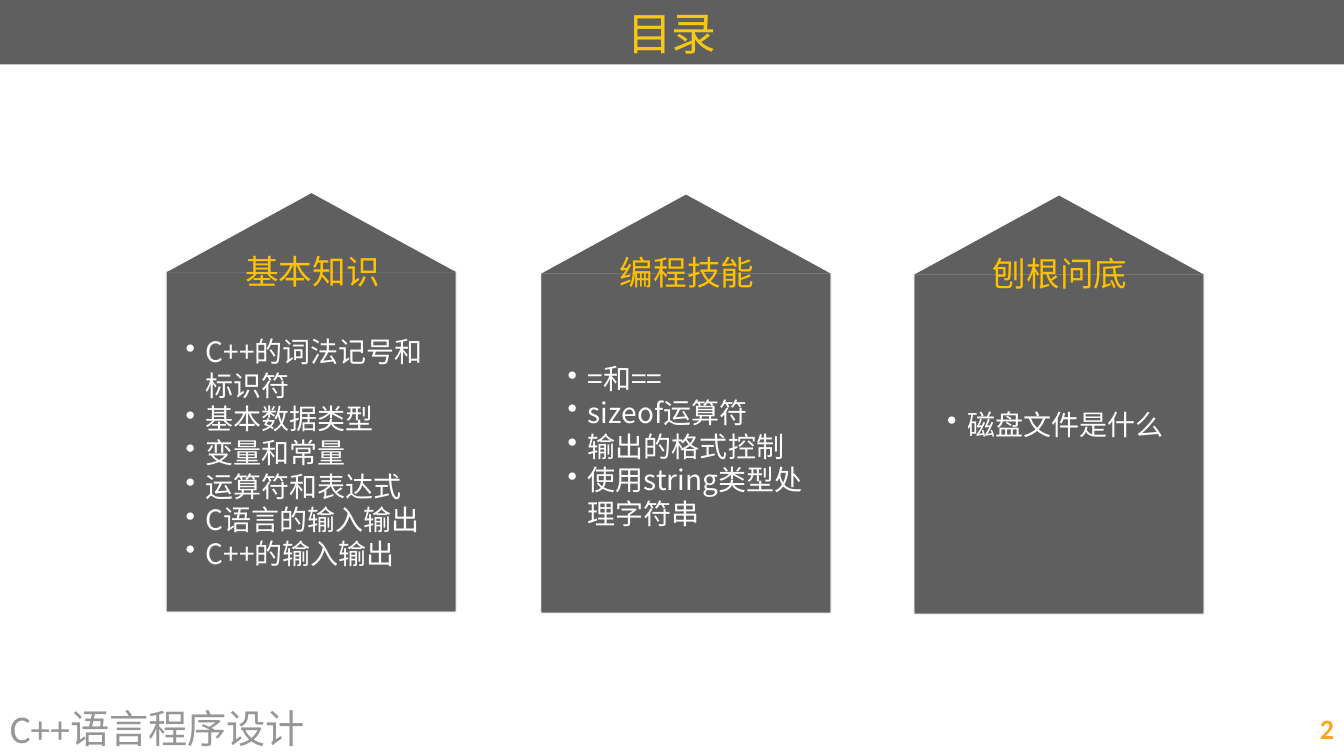
from pptx import Presentation
from pptx.dml.color import RGBColor
from pptx.enum.shapes import MSO_SHAPE as Preset
from pptx.enum.text import MSO_ANCHOR as Anchor, PP_ALIGN as Align
from pptx.oxml import parse_xml
from pptx.oxml.ns import nsdecls
from pptx.util import Pt

GREY = RGBColor(0x5F, 0x5F, 0x5F)
LIGHT_GREY = RGBColor(0x96, 0x96, 0x96)
YELLOW = RGBColor(0xF6, 0xC8, 0x13)
ORANGE = RGBColor(0xF8, 0xA7, 0x20)
GOLD = RGBColor(0xFF, 0xC0, 0x00)
WHITE = RGBColor(0xFF, 0xFF, 0xFF)
LATIN, HAN = "Calibri", "Noto Sans CJK SC"

# Heading, house (left, top), list box (left, top, width, height), items
COLUMNS = [
    ("基本知识", (119, 138), (128, 234, 187, 178),
     ["C++的词法记号和标识符", "基本数据类型", "变量和常量",
      "运算符和表达式", "C语言的输入输出", "C++的输入输出"]),
    ("编程技能", (386.5, 139), (401, 254, 186, 129),
     ["=和==", "sizeof运算符", "输出的格式控制", "使用string类型处理字符串"]),
    ("刨根问底", (653, 139.7), (672, 287, 171, 32), ["磁盘文件是什么"]),
]


def write(shape, lines, size=20, color=WHITE, font=HAN, bold=False,
          align=Align.LEFT, inset=None, bullet=False):
    """Fill a shape with one formatted paragraph per line."""
    frame = shape.text_frame
    frame.word_wrap = True
    frame.vertical_anchor = Anchor.MIDDLE
    if inset is not None:
        frame.margin_left = frame.margin_right = Pt(inset)
        frame.margin_top = frame.margin_bottom = Pt(inset)
    for index, line in enumerate(lines):
        para = frame.paragraphs[0] if index == 0 else frame.add_paragraph()
        para.alignment = align
        if bullet:
            props = para._p.get_or_add_pPr()
            props.set("marL", str(Pt(14.4)))
            props.set("indent", str(-Pt(14.4)))
            props.append(parse_xml(f'<a:buChar {nsdecls("a")} char="•"/>'))
        span = para.add_run()
        span.text = line
        span.font.size = Pt(size)
        span.font.bold = bold
        span.font.color.rgb = color
        span.font.name = font
        span._r.get_or_add_rPr().append(
            parse_xml(f'<a:ea {nsdecls("a")} typeface="{HAN}"/>'))


class Painter:
    def __init__(self, page, fill):
        self.page = page
        self.fill = fill

    def paint(self, shape):
        shape.shadow.inherit = False
        shape.fill.solid()
        shape.fill.fore_color.rgb = self.fill
        shape.line.fill.background()
        return shape

    def block(self, left, top, width, height):
        return self.paint(self.page.shapes.add_shape(
            Preset.RECTANGLE, Pt(left), Pt(top), Pt(width), Pt(height)))

    def shadow(self, shape):
        effects = shape._element.spPr.find(
            "{http://schemas.openxmlformats.org/drawingml/2006/main}effectLst")
        effects.append(parse_xml(
            f'<a:outerShdw {nsdecls("a")} blurRad="{Pt(1)}" dist="0" dir="5400000">'
            '<a:srgbClr val="000000"><a:alpha val="50000"/></a:srgbClr></a:outerShdw>'))

    def roof(self, left, top, width, height):
        base = top + height
        outline = self.page.shapes.build_freeform(
            Pt(left + width / 2), Pt(top), scale=1.0)
        outline.add_line_segments(
            [(Pt(left + width), Pt(base)), (Pt(left), Pt(base))], close=True)
        return self.paint(outline.convert_to_shape())

    def text(self, left, top, width, height, lines, **style):
        box = self.page.shapes.add_textbox(
            Pt(left), Pt(top), Pt(width), Pt(height))
        write(box, lines, **style)

    def house(self, left, top):
        self.shadow(self.block(left + 0.3, top + 56.5, 206, 242))
        self.roof(left, top, 207, 56.5)


def main():
    deck = Presentation()
    deck.slide_width, deck.slide_height = Pt(960), Pt(540)
    page = deck.slides.add_slide(deck.slide_layouts[6])
    painter = Painter(page, GREY)

    # Title bar
    bar = painter.block(0, 0, 960, 46)
    write(bar, ["目录"], size=32, color=YELLOW, font=LATIN, align=Align.CENTER)

    # Footer and page number
    painter.text(0, 500.4, 632, 39.6, ["C++语言程序设计"],
                 size=28, color=LIGHT_GREY, font=LATIN)
    painter.text(688, 500.4, 272, 39.6, ["2"], color=ORANGE,
                 font=LATIN, bold=True, align=Align.RIGHT)

    # Three houses with headings and lists
    for heading, (left, top), list_area, items in COLUMNS:
        painter.house(left, top)
        painter.text(*list_area, items, inset=4.5, bullet=True)
        painter.text(left + 51.8, top + 36.8, 114, 37.5, [heading],
                     size=24, color=GOLD, inset=4.5)

    deck.save("out.pptx")


if __name__ == "__main__":
    main()
